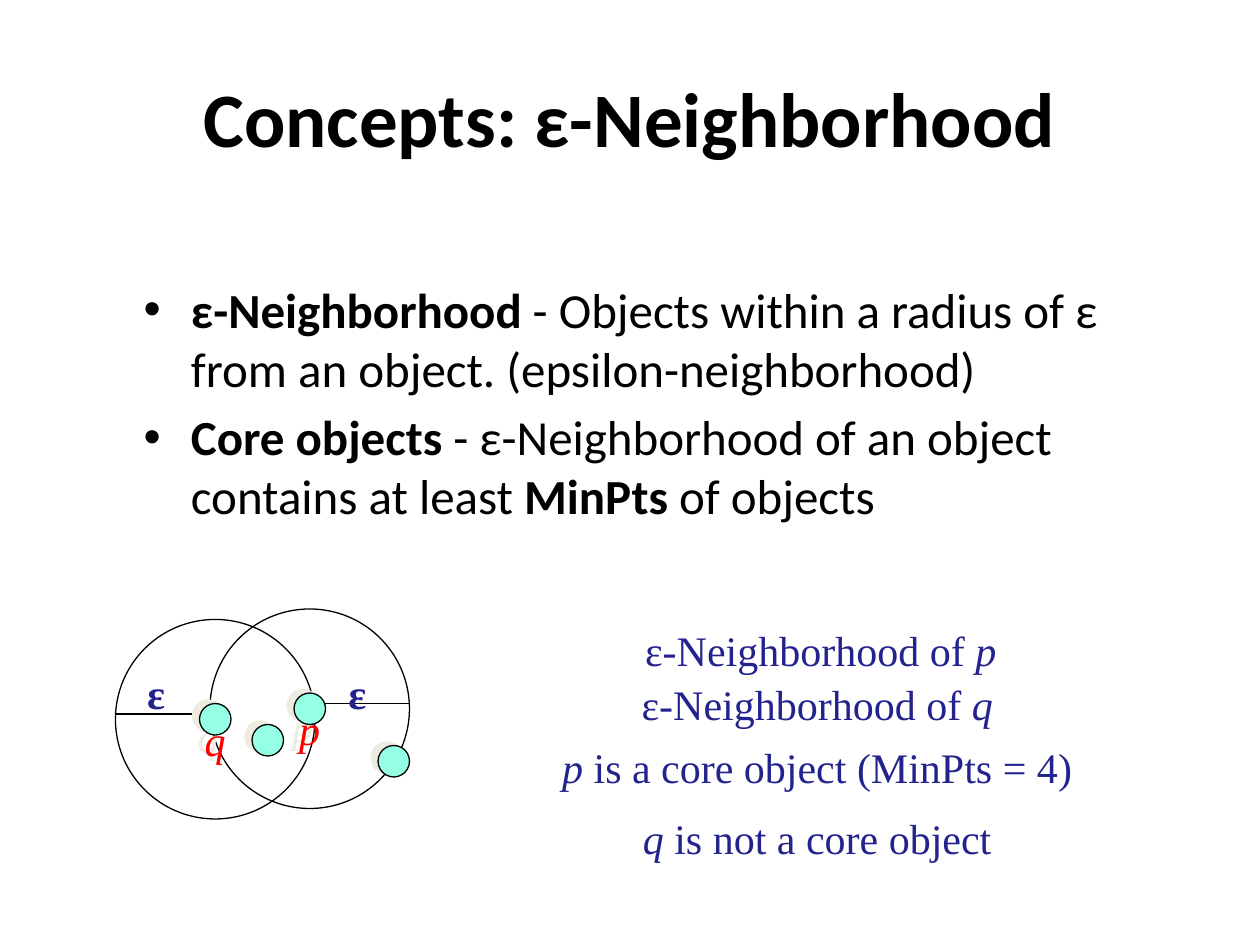
from lxml.etree import SubElement
from pptx import Presentation
from pptx.dml.color import RGBColor
from pptx.enum.shapes import MSO_CONNECTOR, MSO_SHAPE
from pptx.enum.text import MSO_ANCHOR, PP_ALIGN
from pptx.oxml.ns import qn
from pptx.util import Pt

BLACK, NAVY, RED = "000000", "23238E", "FF0000"
MINT, SHADE = "95FFE3", "EEECE1"
SANS, SERIF = "Calibri", "Times New Roman"
RADIUS, DOT = 57, 9


def color(code):
    return RGBColor.from_string(code)


def write(frame, paras, size=24, font=SERIF, ink=NAVY, align=PP_ALIGN.CENTER,
          gap=0, bullet=False, wrap=True, anchor=MSO_ANCHOR.TOP):
    """Fill a frame; each paragraph is a list of (text, style), style "", "b" or "i"."""
    frame.word_wrap = wrap
    frame.vertical_anchor = anchor
    for i, runs in enumerate(paras):
        para = frame.add_paragraph() if i else frame.paragraphs[0]
        para.alignment = align
        para.space_before = Pt(gap if i else 0)
        if bullet:
            add_bullet(para)
        for words, style in runs:
            run = para.add_run()
            run.text = words
            run.font.size = Pt(size)
            run.font.name = font
            run.font.color.rgb = color(ink)
            run.font.bold = style == "b"
            run.font.italic = style == "i"


def add_bullet(para, indent=27):
    props = para._p.get_or_add_pPr()
    props.set("marL", str(Pt(indent)))
    props.set("indent", str(-Pt(indent)))
    SubElement(props, qn("a:buFont"), typeface="Arial")
    SubElement(props, qn("a:buChar"), char="•")


def add_text(slide, box, paras, **style):
    shape = slide.shapes.add_textbox(*map(Pt, box))
    write(shape.text_frame, paras, **style)


def add_line(slide, x1, x2, y):
    line = slide.shapes.add_connector(
        MSO_CONNECTOR.STRAIGHT, Pt(x1), Pt(y), Pt(x2), Pt(y))
    line.line.color.rgb = color(BLACK)
    line.line.width = Pt(0.75)
    SubElement(line._element.spPr, qn("a:effectLst"))


def add_disc(slide, x, y, radius, fill=None):
    """Draw a circle around the centre (x, y)."""
    disc = slide.shapes.add_shape(
        MSO_SHAPE.OVAL, Pt(x - radius), Pt(y - radius), Pt(2 * radius), Pt(2 * radius))
    disc.shadow.inherit = False
    disc.line.color.rgb = color(BLACK)
    disc.line.width = Pt(0.75)
    if fill:
        disc.fill.solid()
        disc.fill.fore_color.rgb = color(fill)
    else:
        disc.fill.background()
    return disc


def add_dot(slide, x, y, name=""):
    dot = add_disc(slide, x, y, DOT, MINT)
    effects = dot._element.spPr.find(qn("a:effectLst"))
    shadow = SubElement(effects, qn("a:outerShdw"), blurRad="0", dist=str(Pt(4.5)),
                        dir=str(207 * 60000), algn="ctr", rotWithShape="0")
    SubElement(shadow, qn("a:srgbClr"), val=SHADE)
    if name:
        write(dot.text_frame, [[(name, "i")]], ink=RED, wrap=False)


def add_graph(slide):
    q, p = (123, 411), (177, 405)
    for x, y in (q, p):
        add_disc(slide, x, y, RADIUS)
    add_line(slide, q[0] - RADIUS, q[0] - DOT, q[1] - 3)
    add_line(slide, p[0] + DOT, p[0] + RADIUS, p[1] - 3)
    for x, y, name in ((*q, "q"), (153, 423, ""), (225, 435, ""), (*p, "p")):
        add_dot(slide, x, y, name)
    for left in (77, 192):
        add_text(slide, (left, 378, 24.5, 36), [[("ε", "b")]], wrap=False)


def main():
    deck = Presentation()
    deck.slide_width, deck.slide_height = Pt(720), Pt(540)
    slide = deck.slides.add_slide(deck.slide_layouts[6])
    add_text(slide, (36, 21.6, 648, 90), [[("Concepts: ε-Neighborhood", "b")]],
             size=44, font=SANS, ink=BLACK, anchor=MSO_ANCHOR.MIDDLE)
    add_text(slide, (75, 156, 603, 156), [
        [("ε-Neighborhood", "b"),
         (" - Objects within a radius of ε from an object. (epsilon-neighborhood)", "")],
        [("Core objects", "b"),
         (" - ε-Neighborhood of an object contains at least ", ""),
         ("MinPts", "b"), (" of objects", "")],
    ], size=28, font=SANS, ink=BLACK, align=PP_ALIGN.LEFT, gap=5.6, bullet=True)
    add_graph(slide)
    for left, top, name in ((314, 353.5, "p"), (312, 384, "q")):
        add_text(slide, (left, top, 310, 36), [[("ε-Neighborhood of ", ""), (name, "i")]])
    add_text(slide, (312, 420, 310, 79), [
        [("p ", "i"), ("is a core object (MinPts = 4)", "")],
        [("q", "i"), (" is not a core object", "")],
    ], gap=12)
    deck.save("out.pptx")


if __name__ == "__main__":
    main()
